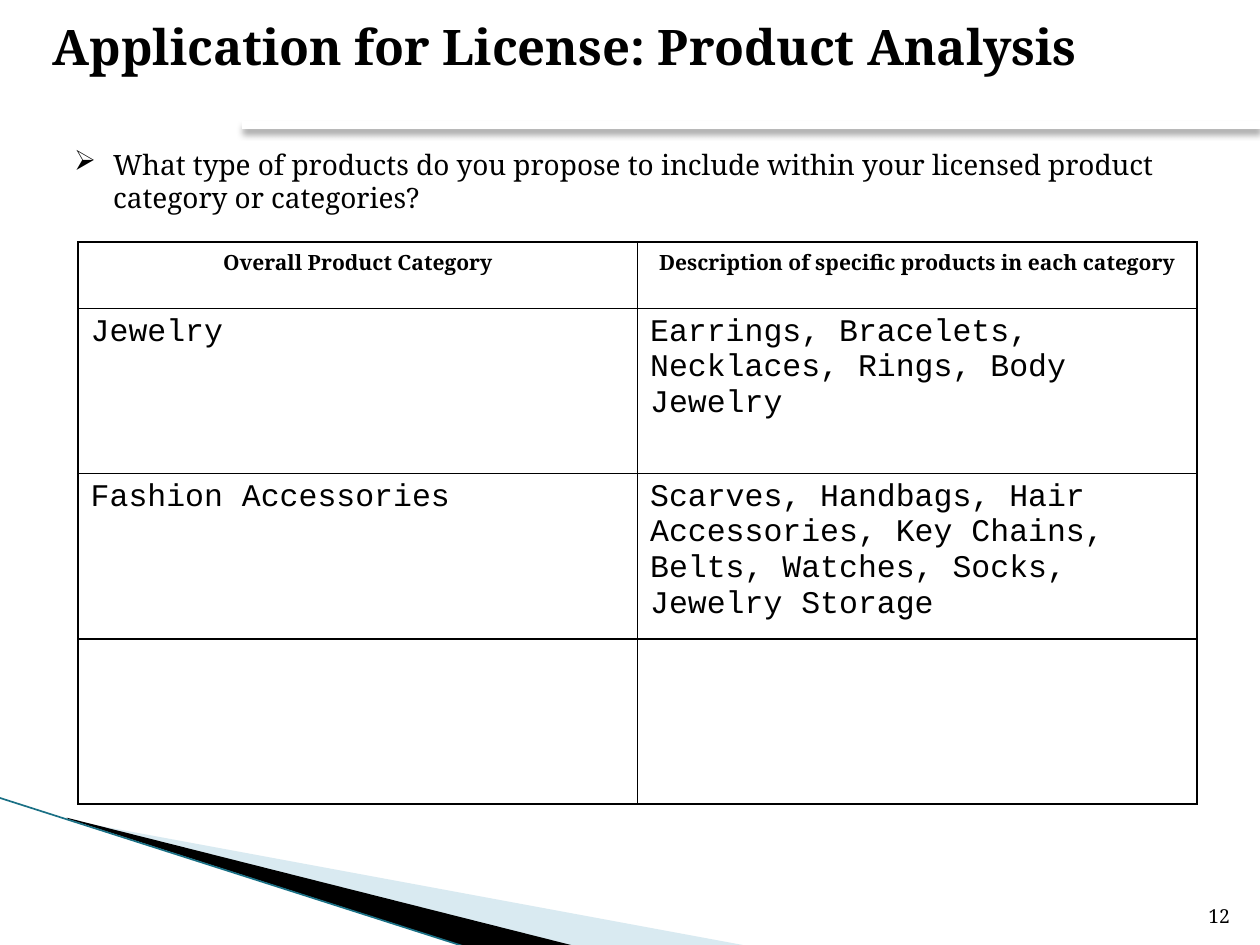
from lxml import etree
from pptx import Presentation
from pptx.dml.color import RGBColor
from pptx.enum.shapes import MSO_CONNECTOR
from pptx.enum.text import MSO_ANCHOR, PP_ALIGN
from pptx.oxml import parse_xml
from pptx.oxml.ns import nsdecls, qn
from pptx.util import Inches, Pt

SERIF, MONO = "Noto Serif", "Courier New"
BLACK, WHITE = "000000", "FFFFFF"
TITLE = "Application for License: Product Analysis"
QUESTION = ("What type of products do you propose to include within your "
            "licensed product category or categories?")
PAGE_NUMBER = "12"
ROWS = [
    ("Overall Product Category", "Description of specific products in each category"),
    ("Jewelry", "Earrings, Bracelets, Necklaces, Rings, Body Jewelry"),
    ("Fashion Accessories", "Scarves, Handbags, Hair Accessories, Key Chains, "
                            "Belts, Watches, Socks, Jewelry Storage"),
    ("", ""),
]
HEADER_HEIGHT, ROW_HEIGHT, COLUMN_WIDTH = 0.53, 1.31, 4.44
WEDGES = [
    ([(0.55, 6.51), (5.95, 7.51), (4.56, 7.51), (0.55, 6.5)], "A0CBDC", 40),
    ([(0.53, 6.49), (4.57, 7.51), (3.72, 7.52), (0.54, 6.5)], BLACK, 100),
]


def rgb(value):
    return RGBColor.from_string(value)


def write(frame, text, size, font=SERIF, bold=False, align=PP_ALIGN.LEFT):
    paragraph = frame.paragraphs[0]
    paragraph.alignment = align
    run = paragraph.add_run()
    run.text = text
    run.font.size, run.font.name, run.font.bold = Pt(size), font, bold
    run.font.color.rgb = rgb(BLACK)
    return paragraph


def place(shape, left, top, width, height):
    shape.left, shape.top = Inches(left), Inches(top)
    shape.width, shape.height = Inches(width), Inches(height)


def add_text(slide, box, text, size, align=PP_ALIGN.LEFT, anchor=MSO_ANCHOR.TOP):
    frame = slide.shapes.add_textbox(*map(Inches, box)).text_frame
    frame.word_wrap, frame.vertical_anchor = True, anchor
    return write(frame, text, size, align=align)


def add_wedge(slide, points, color, opacity):
    start, *rest = [(Inches(x), Inches(y)) for x, y in points]
    builder = slide.shapes.build_freeform(*start)
    builder.add_line_segments(rest)
    wedge = builder.convert_to_shape()
    wedge.shadow.inherit = False
    wedge.fill.solid()
    wedge.fill.fore_color.rgb = rgb(color)
    wedge.line.fill.background()
    if opacity < 100:
        fill = wedge._element.spPr.find(qn("a:solidFill"))
        etree.SubElement(fill[0], qn("a:alpha"), val=str(opacity * 1000))


def add_line(slide, start, end, color, width, shadow=""):
    line = slide.shapes.add_connector(
        MSO_CONNECTOR.STRAIGHT, *map(Inches, start + end))
    line.line.color.rgb, line.line.width = rgb(color), Pt(width)
    line._element.spPr.append(
        parse_xml(f"<a:effectLst {nsdecls('a')}>{shadow}</a:effectLst>"))


def add_border(cell):
    properties = cell._tc.get_or_add_tcPr()
    for index, side in enumerate(("lnL", "lnR", "lnT", "lnB")):
        properties.insert(index, parse_xml(
            f'<a:{side} {nsdecls("a")} w="{Pt(1)}"><a:solidFill>'
            f'<a:srgbClr val="{BLACK}"/></a:solidFill></a:{side}>'))


def add_product_table(slide):
    height = HEADER_HEIGHT + ROW_HEIGHT * (len(ROWS) - 1)
    table = slide.shapes.add_table(
        len(ROWS), 2, Inches(0.62), Inches(1.92),
        Inches(2 * COLUMN_WIDTH), Inches(height)).table
    for column in table.columns:
        column.width = Inches(COLUMN_WIDTH)
    for r, texts in enumerate(ROWS):
        table.rows[r].height = Inches(ROW_HEIGHT if r else HEADER_HEIGHT)
        for c, text in enumerate(texts):
            cell = table.cell(r, c)
            cell.fill.solid()
            cell.fill.fore_color.rgb = rgb(WHITE)
            add_border(cell)
            if text and r:
                write(cell.text_frame, text, 18, MONO)
            elif text:
                write(cell.text_frame, text, 12, bold=True, align=PP_ALIGN.CENTER)


def main():
    """Build the product analysis slide."""
    deck = Presentation()
    deck.slide_width, deck.slide_height = Inches(10), Inches(7.5)
    slide = deck.slides.add_slide(deck.slide_layouts[5])
    for wedge in WEDGES:
        add_wedge(slide, *wedge)
    add_line(slide, (-0.01, 6.33), (3.71, 7.52), "1A7085", 0.95)

    title = slide.shapes.title
    place(title, 0.32, 0.08, 9.68, 0.57)
    title.text_frame.vertical_anchor = MSO_ANCHOR.MIDDLE
    write(title.text_frame, TITLE, 28, bold=True)
    shadow = (f'<a:outerShdw blurRad="{Pt(4)}" dist="{Pt(3)}" dir="5400000">'
              f'<a:srgbClr val="{BLACK}"><a:alpha val="35000"/></a:srgbClr>'
              '</a:outerShdw>')
    add_line(slide, (1.92, 0.99), (10, 0.99), WHITE, 4.33, shadow)

    add_text(slide, (9.46, 7.01, 0.4, 0.4), PAGE_NUMBER, 11,
             PP_ALIGN.RIGHT, MSO_ANCHOR.BOTTOM)
    question = add_text(slide, (0.49, 1.12, 8.85, 0.64), QUESTION, 16)
    properties = question._p.get_or_add_pPr()
    properties.set("marL", str(Inches(0.31)))
    properties.set("indent", str(Inches(-0.31)))
    etree.SubElement(properties, qn("a:buChar"), char="\u27a2")
    add_product_table(slide)
    deck.save("out.pptx")


main()
